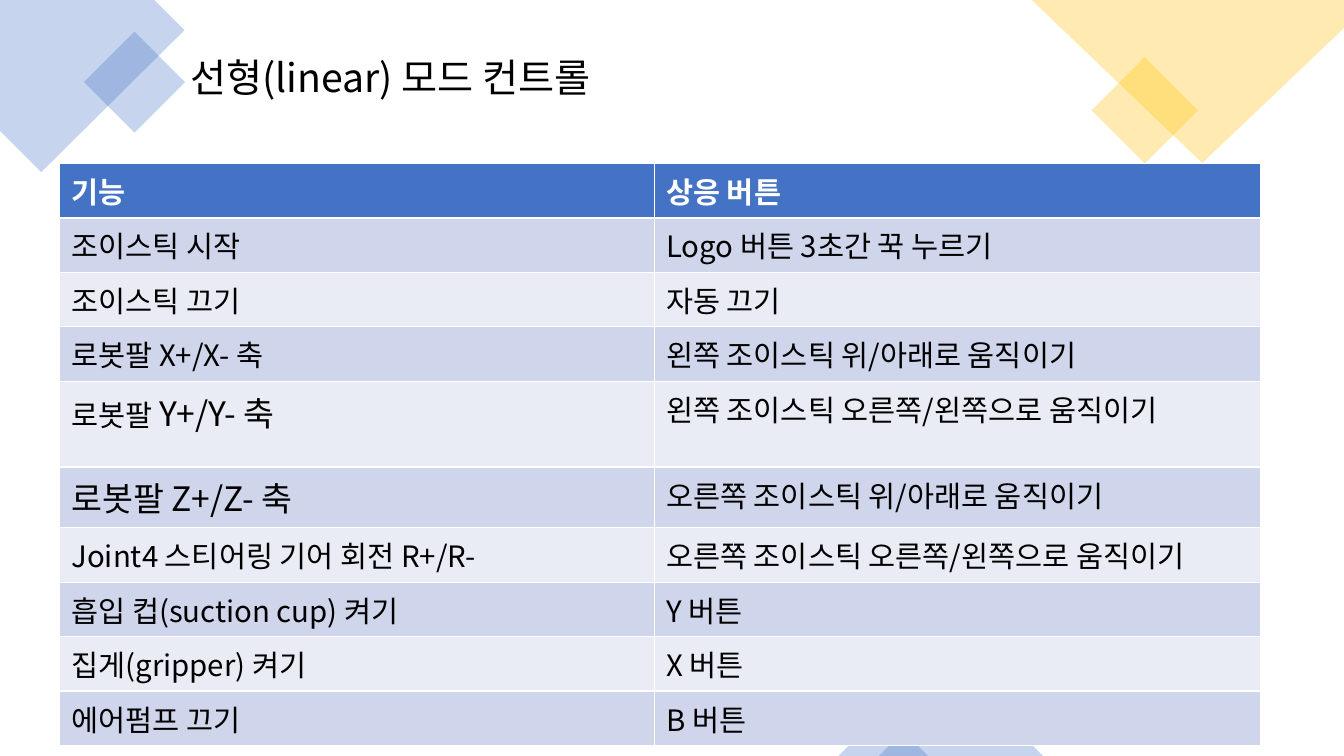
from dataclasses import dataclass

from lxml.etree import SubElement
from pptx import Presentation
from pptx.dml.color import RGBColor as RGB
from pptx.enum.shapes import MSO_SHAPE as Kind
from pptx.enum.text import MSO_AUTO_SIZE as Fit
from pptx.oxml.ns import qn
from pptx.util import Cm, Pt


@dataclass(frozen=True)
class Theme:
    font: str = "Noto Sans CJK KR"
    blue: str = "4472C4"
    gold: str = "FFC000"
    white: str = "FFFFFF"
    black: str = "000000"
    bands: tuple = ("E9EBF5", "CFD5EA")
    alpha: int = 30
    title: int = 28
    body: int = 21
    large: int = 24


THEME = Theme()

HEAD = ("기능", "상응 버튼")
# A cell is a text, or a list of (text, size) runs.
ROWS = [
    ("조이스틱 시작", "Logo 버튼 3초간 꾹 누르기"),
    ("조이스틱 끄기", "자동 끄기"),
    ("로봇팔 X+/X- 축", "왼쪽 조이스틱 위/아래로 움직이기"),
    ([("로봇팔 ", THEME.body), ("Y+/Y- 축", THEME.large)],
     "왼쪽 조이스틱 오른쪽/왼쪽으로 움직이기"),
    ([("로봇팔 Z+/Z- 축", THEME.large)], "오른쪽 조이스틱 위/아래로 움직이기"),
    ("Joint4 스티어링 기어 회전 R+/R-", "오른쪽 조이스틱 오른쪽/왼쪽으로 움직이기"),
    ("흡입 컵(suction cup) 켜기", "Y 버튼"),
    ("집게(gripper) 켜기", "X 버튼"),
    ("에어펌프 끄기", "B 버튼"),
]
TALL = 4


def tint(shape, color):
    """Give a decoration its see-through fill, without line or shadow."""
    shape.shadow.inherit = False
    shape.line.fill.background()
    shape.fill.solid()
    shape.fill.fore_color.rgb = RGB.from_string(color)
    clr = shape.fill._xPr.find(".//" + qn("a:srgbClr"))
    SubElement(clr, qn("a:alpha"), val=str(THEME.alpha * 1000))


def write(para, text, size, color, bold=False):
    """Fill a paragraph with one text, or with runs of their own sizes."""
    runs = [(text, size)] if isinstance(text, str) else text
    mixed = len(runs) > 1
    for part, points in runs:
        run = para.add_run()
        run.text = part
        if mixed:
            run.font.size = Pt(points)
    font = para.font
    font.name = THEME.font
    font.bold = bold
    font.color.rgb = RGB.from_string(color)
    if not mixed:
        font.size = Pt(runs[0][1])
    base = para._p.pPr.find(qn("a:defRPr"))
    SubElement(base, qn("a:ea"), typeface=THEME.font)


def add_corner(slide, box, points, square, color):
    """Draw a cut-off corner shape and a square on its tip, inside box."""
    left, top = box
    spots = [(Cm(left + x), Cm(top + y)) for x, y in points]
    pen = slide.shapes.build_freeform(*spots[0])
    pen.add_line_segments(spots[1:], close=True)
    tint(pen.convert_to_shape(), color)

    x, y, side = square
    tile = slide.shapes.add_shape(
        Kind.RECTANGLE, Cm(left + x), Cm(top + y), Cm(side), Cm(side))
    tile.rotation = 315
    tint(tile, color)


def add_peaks(slide, box):
    """Stand a large and a small triangle on the bottom edge of box."""
    left, top, width, height = box
    for x, wide, high in ((1.02, width - 1.02, height), (0, 2.26, 1.13)):
        peak = slide.shapes.add_shape(
            Kind.ISOSCELES_TRIANGLE, Cm(left + x), Cm(top + height - high),
            Cm(wide), Cm(high))
        tint(peak, THEME.blue)


def add_grid(slide, box):
    left, top, width, height = box
    low, tall, first = 1.3, 2.16, 14.99
    frame = slide.shapes.add_table(
        len(ROWS) + 1, len(HEAD), Cm(left), Cm(top), Cm(width), Cm(height))
    grid = frame.table
    grid.columns[0].width = Cm(first)
    grid.columns[1].width = Cm(width - first)
    for i, texts in enumerate([HEAD, *ROWS]):
        head = i == 0
        grid.rows[i].height = Cm(tall if i == TALL else low)
        fill = THEME.blue if head else THEME.bands[i % 2]
        color = THEME.white if head else THEME.black
        for cell, text in zip(grid.rows[i].cells, texts):
            cell.fill.solid()
            cell.fill.fore_color.rgb = RGB.from_string(fill)
            cell.margin_left = cell.margin_right = Cm(0.3)
            cell.margin_top = cell.margin_bottom = Cm(0.15)
            write(cell.text_frame.paragraphs[0], text, THEME.body, color, head)


def add_title(slide, box, text):
    frame = slide.shapes.add_textbox(*map(Cm, box)).text_frame
    frame.word_wrap = True
    frame.auto_size = Fit.SHAPE_TO_FIT_TEXT
    write(frame.paragraphs[0], text, THEME.title, THEME.black)


def main():
    deck = Presentation()
    deck.slide_width, deck.slide_height = Cm(33.87), Cm(19.05)
    slide = deck.slides.add_slide(deck.slide_layouts[6])
    add_corner(slide, (0, 0),
               [(0, 0), (3.89, 0), (4.65, 0.76), (1.04, 4.34), (0, 3.3)],
               (2.49, 1.17, 1.8), THEME.blue)
    add_corner(slide, (26, 0),
               [(0, 0), (7.87, 0), (7.87, 0.71), (4.3, 4.11)],
               (1.9, 1.83, 1.9), THEME.gold)
    add_peaks(slide, (21.13, 16.99, 5.16, 2.06))
    add_grid(slide, (1.5, 4.12, 30.28, 13.79))
    add_title(slide, (4.55, 1.22, 11.3, 1.45), "선형(linear) 모드 컨트롤")
    deck.save("out.pptx")


if __name__ == "__main__":
    main()
